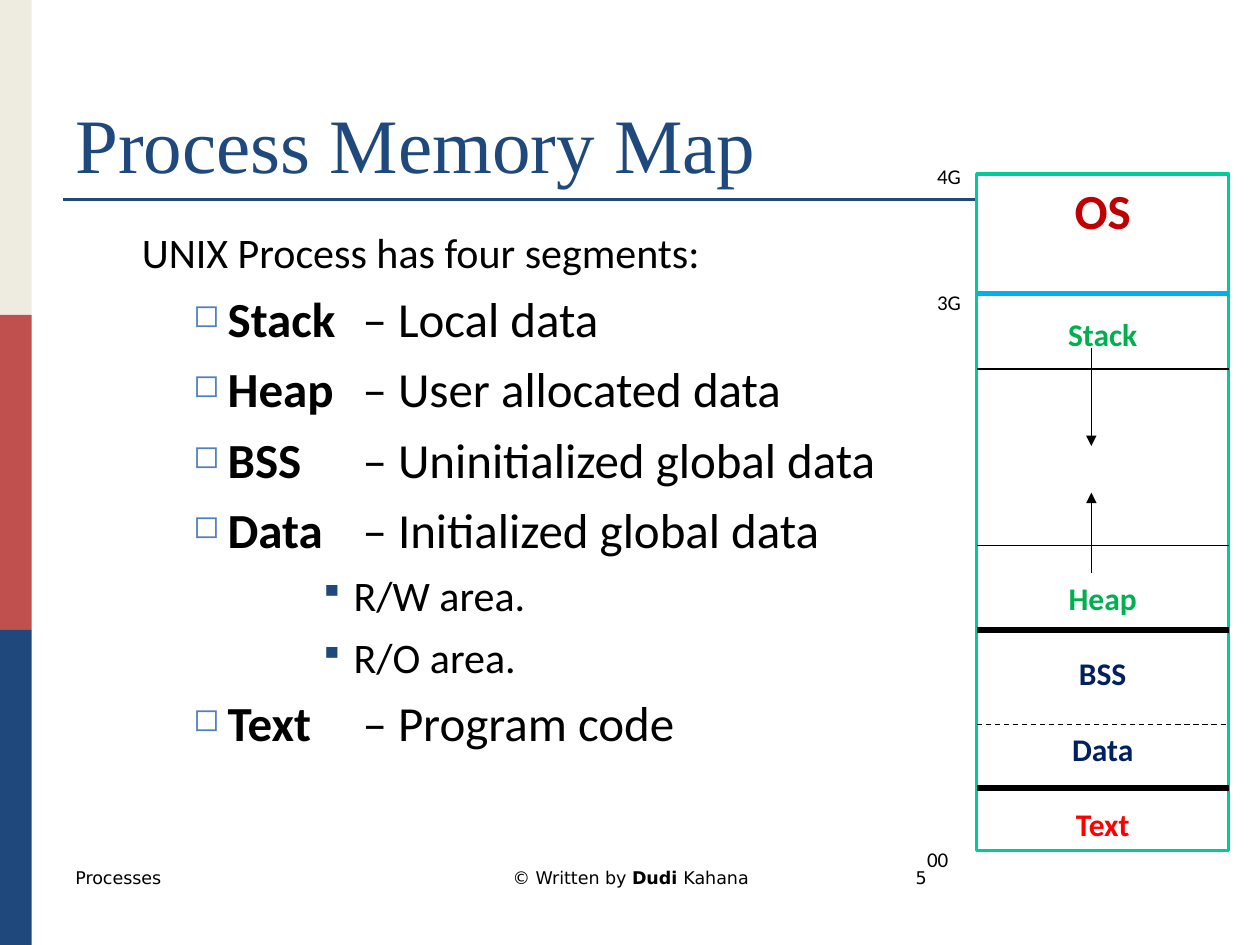
from dataclasses import dataclass
from typing import Optional

from lxml import etree
from pptx import Presentation
from pptx.dml.color import RGBColor
from pptx.enum.dml import MSO_LINE
from pptx.enum.shapes import MSO_CONNECTOR, MSO_SHAPE
from pptx.enum.text import MSO_ANCHOR, PP_ALIGN
from pptx.oxml.ns import qn
from pptx.util import Cm, Pt

RECTANGLE = MSO_SHAPE.RECTANGLE
STRAIGHT = MSO_CONNECTOR.STRAIGHT
DASH = MSO_LINE.DASH
TOP, BOTTOM = MSO_ANCHOR.TOP, MSO_ANCHOR.BOTTOM
LEFT, CENTER = PP_ALIGN.LEFT, PP_ALIGN.CENTER
BLACK, NAVY, WHITE = "000000", "1F497D", "FFFFFF"
MAP_LEFT, MAP_TOP, MAP_WIDTH, MAP_HEIGHT = 19.69, 3.51, 5.08, 13.64
BAR_WIDTH, BAR_HEIGHT = 0.64, 6.35
ARROW_X = 22.0
FOOTER_TOP, FOOTER_HEIGHT = 17.35, 1.27
DESCRIPTION_TAB = 5.79


@dataclass
class Bullet:
    symbol: str
    color: str
    percent: int


@dataclass
class Entry:
    runs: list[tuple[str, bool]]
    size: float
    color: str = BLACK
    font: str = "Calibri"
    align: PP_ALIGN = LEFT
    space_before: float = 0
    margin: float = 0
    hanging: float = 0
    bullet: Optional[Bullet] = None


@dataclass
class Line:
    start: tuple[float, float]
    end: tuple[float, float]
    width: float
    color: str = BLACK
    dashed: bool = False
    arrow: bool = False


def rgb(color: str) -> RGBColor:
    return RGBColor.from_string(color)


def add_bullet(properties, bullet: Bullet) -> None:
    color = etree.SubElement(properties, qn("a:buClr"))
    etree.SubElement(color, qn("a:srgbClr"), val=bullet.color)
    etree.SubElement(properties, qn("a:buSzPct"), val=str(bullet.percent * 1000))
    etree.SubElement(properties, qn("a:buChar"), char=bullet.symbol)


def add_tab(properties, position: float) -> None:
    tabs = etree.SubElement(properties, qn("a:tabLst"))
    etree.SubElement(tabs, qn("a:tab"), pos=str(Cm(position)), algn="l")


def write_entries(frame, entries: list[Entry]) -> None:
    for index, entry in enumerate(entries):
        paragraph = frame.add_paragraph() if index else frame.paragraphs[0]
        properties = paragraph._p.get_or_add_pPr()
        if entry.margin:
            properties.set("marL", str(Cm(entry.margin)))
            properties.set("indent", str(Cm(-entry.hanging)))
        if entry.bullet:
            add_bullet(properties, entry.bullet)
        if any("\t" in text for text, _ in entry.runs):
            add_tab(properties, DESCRIPTION_TAB)
        paragraph.alignment = entry.align
        if entry.space_before:
            paragraph.space_before = Pt(entry.space_before)
        paragraph.font.name = entry.font
        paragraph.font.size = Pt(entry.size)
        paragraph.font.color.rgb = rgb(entry.color)
        weights = {bold for _, bold in entry.runs}
        if len(weights) == 1:
            paragraph.font.bold = entry.runs[0][1]
        for text, bold in entry.runs:
            run = paragraph.add_run()
            run.text = text
            if len(weights) > 1:
                run.font.bold = bold


def add_text(slide, left: float, top: float, width: float, height: float,
             entries: list[Entry], anchor: MSO_ANCHOR = TOP, wrap: bool = True) -> None:
    shape = slide.shapes.add_textbox(Cm(left), Cm(top), Cm(width), Cm(height))
    shape.text_frame.word_wrap = wrap
    shape.text_frame.vertical_anchor = anchor
    write_entries(shape.text_frame, entries)


def add_rectangle(slide, left: float, top: float, width: float, height: float,
                  fill: str, outline: Optional[str] = None):
    shape = slide.shapes.add_shape(RECTANGLE, Cm(left), Cm(top), Cm(width), Cm(height))
    shape.shadow.inherit = False
    shape.fill.solid()
    shape.fill.fore_color.rgb = rgb(fill)
    if outline:
        shape.line.color.rgb = rgb(outline)
        shape.line.width = Pt(2)
    else:
        shape.line.fill.background()
    return shape


def add_line(slide, line: Line) -> None:
    points = [Cm(value) for value in (*line.start, *line.end)]
    connector = slide.shapes.add_connector(STRAIGHT, *points)
    connector.line.color.rgb = rgb(line.color)
    connector.line.width = Pt(line.width)
    if line.dashed:
        connector.line.dash_style = DASH
    if line.arrow:
        etree.SubElement(connector.line._get_or_add_ln(), qn("a:tailEnd"), type="triangle")
    etree.SubElement(connector._element.spPr, qn("a:effectLst"))


def divider(y: float, width: float, color: str = BLACK, dashed: bool = False) -> Line:
    return Line((MAP_LEFT, y), (MAP_LEFT + MAP_WIDTH, y), width, color, dashed)


def segment(name: str, description: str) -> Entry:
    return Entry([(f"{name}\t", True), (f"– {description}", False)], 28, space_before=6.5,
                 margin=3.07, hanging=0.69, bullet=Bullet("◻", "4F81BD", 65))


def area(text: str) -> Entry:
    return Entry([(text, False)], 24, space_before=6.5,
                 margin=5.61, hanging=0.69, bullet=Bullet("▪", NAVY, 80))


def map_label(text: str, color: str, space_before: float = 0, size: float = 18) -> Entry:
    return Entry([(text, True)], size, color, align=CENTER, space_before=space_before)


def draw_memory_map(slide) -> None:
    memory = add_rectangle(slide, MAP_LEFT, MAP_TOP, MAP_WIDTH, MAP_HEIGHT, WHITE, "00CC99")
    memory.text_frame.word_wrap = True
    memory.text_frame.vertical_anchor = TOP
    write_entries(memory.text_frame, [
        map_label("OS", "C00000", size=28),
        map_label("Stack", "00B050", 43.5),
        map_label("Heap", "00B050", 129),
        map_label("BSS", "002060", 21.5),
        map_label("Data", "002060", 21.5),
        map_label("Text", "FF0000", 21.5),
    ])
    for line in (
        divider(14.6, 0.75, dashed=True),
        divider(12.7, 3.5),
        divider(11, 0.75),
        divider(7.44, 0.75),
        divider(15.88, 3.5),
        divider(5.92, 3, "00B0F0"),
        Line((ARROW_X, 11.56), (ARROW_X, 9.93), 0.75, arrow=True),
        Line((ARROW_X, 7.01), (ARROW_X, 8.99), 0.75, arrow=True),
    ):
        add_line(slide, line)
    for address, left, top in (("00", 18.44, 16.94), ("3G", 18.64, 5.72), ("4G", 18.64, 3.18)):
        add_text(slide, left, top, 0.99, 0.76, [Entry([(address, False)], 12)], wrap=False)


def main() -> None:
    presentation = Presentation()
    presentation.slide_width, presentation.slide_height = Cm(25.4), Cm(19.05)
    slide = presentation.slides.add_slide(presentation.slide_layouts[6])
    for index, color in enumerate(("EEECE1", "C0504D", NAVY)):
        add_rectangle(slide, 0, index * BAR_HEIGHT, BAR_WIDTH, BAR_HEIGHT, color)
    add_line(slide, Line((1.27, 4.02), (23.7, 4.02), 1.5, NAVY))
    draw_memory_map(slide)
    title = Entry([("Process Memory Map", False)], 44, NAVY, "Times New Roman")
    add_text(slide, 1.27, 0.76, 22.86, 3.18, [title], BOTTOM)
    add_text(slide, 1.27, 4.45, 22.86, 12.57, [
        Entry([("UNIX Process has four segments:", False)], 24, margin=2.03, hanging=0.69),
        segment("Stack", "Local data"),
        segment("Heap", "User allocated data"),
        segment("BSS", "Uninitialized global data"),
        segment("Data", "Initialized global data"),
        area("R/W area."),
        area("R/O area."),
        segment("Text", "Program code"),
    ])
    credit = [("© Written by ", False), ("Dudi ", True), ("Kahana", False)]
    for left, width, runs, align in (
        (1.27, 5.92, [("Processes", False)], LEFT),
        (8.69, 8.05, credit, CENTER),
        (18.21, 5.92, [("5", False)], LEFT),
    ):
        footer = Entry(runs, 10, font="DejaVu Sans", align=align)
        add_text(slide, left, FOOTER_TOP, width, FOOTER_HEIGHT, [footer])
    presentation.save("out.pptx")


if __name__ == "__main__":
    main()
